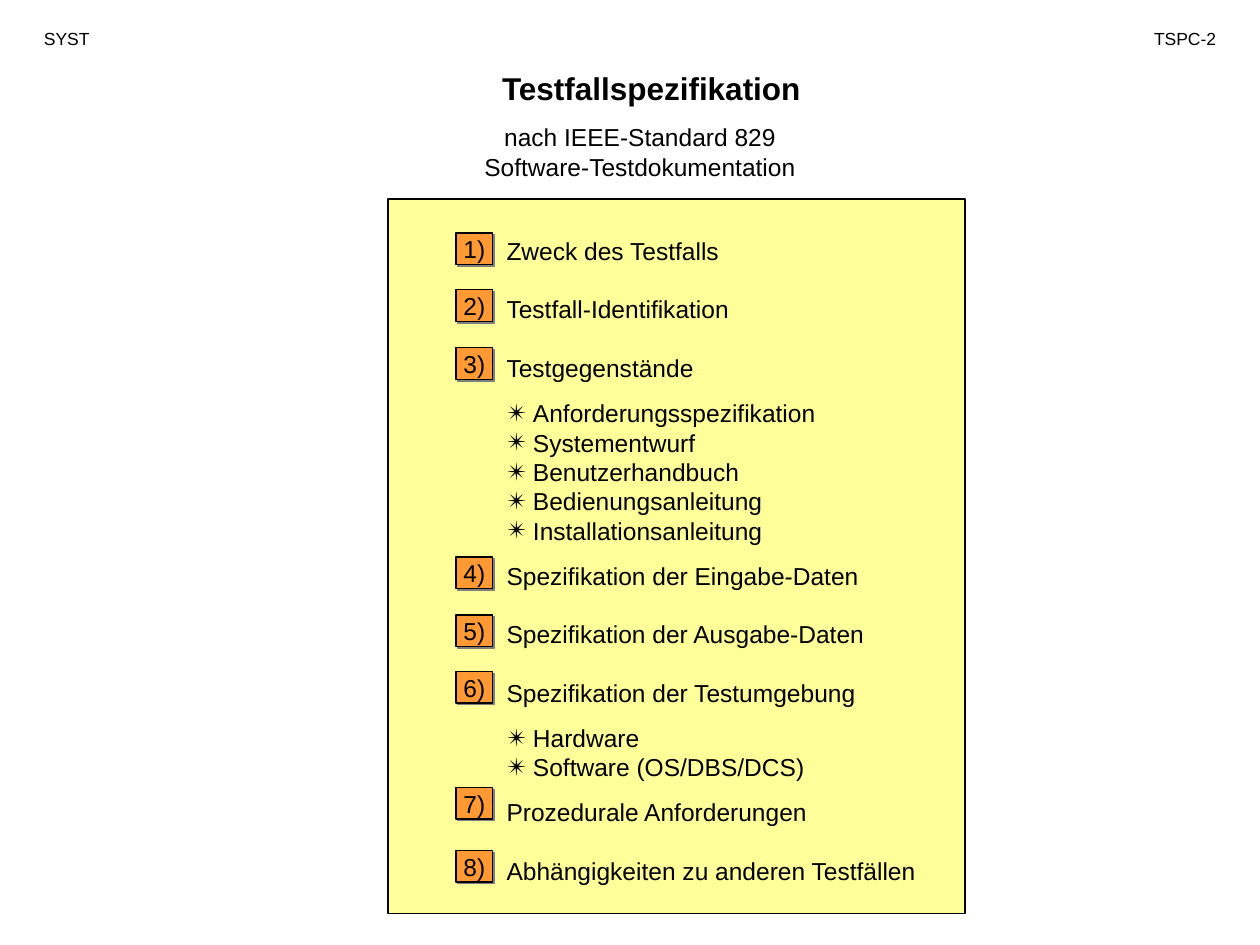
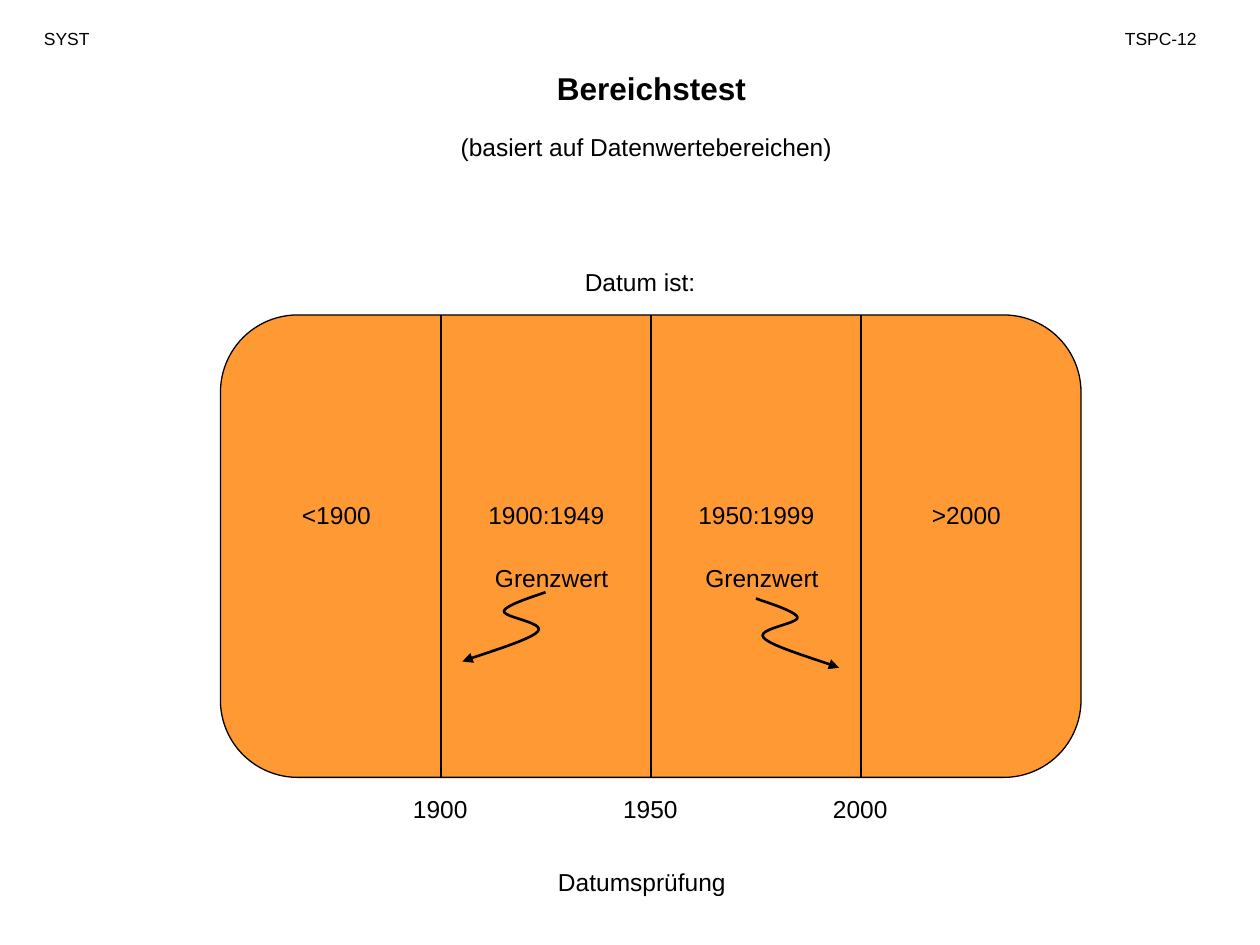
from dataclasses import dataclass

from lxml.etree import SubElement
from pptx import Presentation
from pptx.dml.color import RGBColor
from pptx.enum.shapes import MSO_CONNECTOR as CONNECTOR, MSO_SHAPE as SHAPE
from pptx.enum.text import MSO_ANCHOR as ANCHOR, MSO_AUTO_SIZE as AUTO, PP_ALIGN as ALIGN
from pptx.oxml.ns import qn
from pptx.util import Inches, Pt


@dataclass(frozen=True)
class Theme:
    font: str = "Arial"
    ink: str = "000000"
    panel: str = "FFFF99"
    accent: str = "FF9933"
    shadow: str = "808080"
    title: float = 18
    text: float = 14
    header: float = 10
    leading: float = 16.8
    group_gap: float = 8.8
    thin: float = 0.75
    thick: float = 1.5


THEME = Theme()
LAYOUT_LIST, LAYOUT_TITLE = 1, 5

# Numbered headings: badge top, text, sub-items
OUTLINE = [
    (1.85, "Zweck des Testfalls", []),
    (2.30, "Testfall-Identifikation", []),
    (2.76, "Testgegenstände", ["Anforderungsspezifikation", "Systementwurf", "Benutzerhandbuch",
                               "Bedienungsanleitung", "Installationsanleitung"]),
    (4.42, "Spezifikation der Eingabe-Daten", []),
    (4.88, "Spezifikation der Ausgabe-Daten", []),
    (5.33, "Spezifikation der Testumgebung", ["Hardware", "Software (OS/DBS/DCS)"]),
    (6.25, "Prozedurale Anforderungen", []),
    (6.75, "Abhängigkeiten zu anderen Testfällen", []),
]

# Date ranges and the limits between them
RANGES = ["<1900", "1900:1949", "1950:1999", ">2000"]
LIMITS = ["1900", "1950", "2000"]
FIRST_LIMIT, RANGE_W = 3.5, 5 / 3
BOX_TOP, BOX_H = 2.5, 3.67

# Bezier segments of the wavy arrow, relative to its start
WAVE = [
    [(0, 0), (-0.05, 0.02), (-0.32, 0.1), (-0.33, 0.15)],
    [(-0.33, 0.15), (-0.34, 0.2), (0, 0.24), (-0.06, 0.31)],
    [(-0.06, 0.31), (-0.11, 0.38), (-0.54, 0.5), (-0.66, 0.55)],
]


def rgb(color):
    return RGBColor.from_string(color)


def place(sp, x, y, w, h):
    sp.left, sp.top, sp.width, sp.height = map(Inches, (x, y, w, h))


def format_font(p, size, bold=False):
    for r in p.runs:
        r.font.name, r.font.size, r.font.bold = THEME.font, Pt(size), bold
        r.font.color.rgb = rgb(THEME.ink)


def format_line(line, width):
    line.color.rgb = rgb(THEME.ink)
    line.width = Pt(width)


def write(tf, text, size=THEME.text, align=ALIGN.CENTER, bold=False, wrap=True):
    tf.word_wrap = wrap
    tf.auto_size = AUTO.NONE
    tf.text = text
    p = tf.paragraphs[0]
    p.alignment, p.space_before = align, Pt(0)
    p.line_spacing = Pt(size * 1.2)
    format_font(p, size, bold)


def add_label(slide, text, x, y, w, h=0.34, **style):
    sp = slide.shapes.add_textbox(*map(Inches, (x, y, w, h)))
    write(sp.text_frame, text, **style)


def add_box(slide, kind, x, y, w, h, color):
    sp = slide.shapes.add_shape(kind, *map(Inches, (x, y, w, h)))
    sp.shadow.inherit = False
    sp.fill.solid()
    sp.fill.fore_color.rgb = rgb(color)
    format_line(sp.line, THEME.thin)
    return sp


def add_badge(slide, text, y):
    sp = add_box(slide, SHAPE.RECTANGLE, 3.62, y, 0.29, 0.25, THEME.accent)
    effects = sp.element.spPr.find(qn("a:effectLst"))
    shadow = SubElement(effects, qn("a:outerShdw"), dist=str(Pt(1.4)), dir="2700000",
                        algn="ctr", rotWithShape="0")
    SubElement(shadow, qn("a:srgbClr"), val=THEME.shadow)
    write(sp.text_frame, text, wrap=False)
    sp.text_frame.vertical_anchor = ANCHOR.MIDDLE


def add_divider(slide, x):
    line = slide.shapes.add_connector(
        CONNECTOR.STRAIGHT, *map(Inches, (x, BOX_TOP, x, BOX_TOP + BOX_H)))
    format_line(line.line, THEME.thick)
    SubElement(line.element.spPr, qn("a:effectLst"))


def bezier(points, t):
    weights = ((1 - t) ** 3, 3 * t * (1 - t) ** 2, 3 * t * t * (1 - t), t ** 3)
    return [sum(w * v for w, v in zip(weights, axis)) for axis in zip(*points)]


def add_wavy_arrow(slide, x, y, side, steps=12):
    curve = [bezier(seg, i / steps) for seg in WAVE for i in range(1, steps + 1)]
    builder = slide.shapes.build_freeform(Inches(x), Inches(y))
    builder.add_line_segments(
        [(Inches(x + side * dx), Inches(y + dy)) for dx, dy in curve], close=False)
    sp = builder.convert_to_shape()
    sp.shadow.inherit = False
    sp.fill.background()
    format_line(sp.line, THEME.thick)
    SubElement(sp.element.spPr.find(qn("a:ln")), qn("a:tailEnd"), type="triangle")


def set_bullet(p, indent):
    pPr = p._p.get_or_add_pPr()
    pPr.set("marL", str(Inches(indent)))
    pPr.set("indent", str(-Inches(indent)))
    if indent:
        SubElement(pPr, qn("a:buChar"), char="✴")
    else:
        SubElement(pPr, qn("a:buNone"))


def fill_outline(body):
    place(body, 3.92, 1.82, 3.75, 5.26)
    tf = body.text_frame
    tf.word_wrap, tf.auto_size = True, AUTO.NONE
    tf.vertical_anchor = ANCHOR.TOP
    entries = [(text, level) for _, head, items in OUTLINE
               for text, level in [(head, 0)] + [(item, 1) for item in items]]
    previous = None
    for text, level in entries:
        p = tf.paragraphs[0] if previous is None else tf.add_paragraph()
        p.text = text
        if previous is None or previous == level == 1:
            gap = 0
        else:
            gap = THEME.leading if previous == level else THEME.group_gap
        p.space_before, p.line_spacing = Pt(gap), Pt(THEME.leading)
        set_bullet(p, 0.21 * level)
        format_font(p, THEME.text)
        previous = level


def add_slide(prs, layout, title, code, code_w, code_align):
    slide = prs.slides.add_slide(prs.slide_layouts[layout])
    sp = slide.shapes.title
    place(sp, 2.17, 0.5, 6, 0.4)
    write(sp.text_frame, title, THEME.title, bold=True)
    sp.text_frame.vertical_anchor = ANCHOR.TOP
    add_label(slide, "SYST", 0.25, 0.17, 0.92, 0.27, size=THEME.header, align=ALIGN.LEFT)
    add_label(slide, code, 8.83, 0.17, code_w, 0.27, size=THEME.header, align=code_align)
    return slide


def build_specification(prs):
    slide = add_slide(prs, LAYOUT_LIST, "Testfallspezifikation", "TSPC-2", 0.92, ALIGN.RIGHT)
    add_label(slide, "nach IEEE-Standard 829\vSoftware-Testdokumentation", 3.58, 0.92, 3, 0.57)

    # Panel goes behind the list
    panel = add_box(slide, SHAPE.RECTANGLE, 3.08, 1.58, 4.58, 5.67, THEME.panel)
    body = slide.placeholders[1]
    body.element.addprevious(panel.element)
    fill_outline(body)
    for number, (y, _, _) in enumerate(OUTLINE, 1):
        add_badge(slide, f"{number})", y)


def build_range_test(prs):
    slide = add_slide(prs, LAYOUT_TITLE, "Bereichstest", "TSPC-12", 1, ALIGN.LEFT)
    add_label(slide, "(basiert auf Datenwertebereichen)", 3.17, 1, 3.92)
    add_label(slide, "Datum ist:", 4.33, 2.07, 1.5)

    # Ranges, dividers and limits
    box = add_box(slide, SHAPE.ROUNDED_RECTANGLE, 1.75, BOX_TOP, 6.83, BOX_H, THEME.accent)
    box.adjustments[0] = 0.167
    for i, limit in enumerate(LIMITS):
        x = FIRST_LIMIT + i * RANGE_W
        add_divider(slide, x)
        add_label(slide, limit, x - 0.42, 6.25, 0.83)
    for i, text in enumerate(RANGES):
        add_label(slide, text, 1.92 + i * RANGE_W, 3.92, 1.5)

    # Arrows to the limits
    for x in (3.83, 5.5):
        add_label(slide, "Grenzwert", x, 4.42, 1.17, align=ALIGN.LEFT)
    add_wavy_arrow(slide, 4.33, 4.7, side=1)
    add_wavy_arrow(slide, 6, 4.75, side=-1)
    add_label(slide, "Datumsprüfung", 4.33, 6.83, 1.67, align=ALIGN.LEFT)


def main():
    prs = Presentation()
    prs.slide_width, prs.slide_height = Inches(10), Inches(7.5)
    build_specification(prs)
    build_range_test(prs)
    prs.save("out.pptx")


if __name__ == "__main__":
    main()
